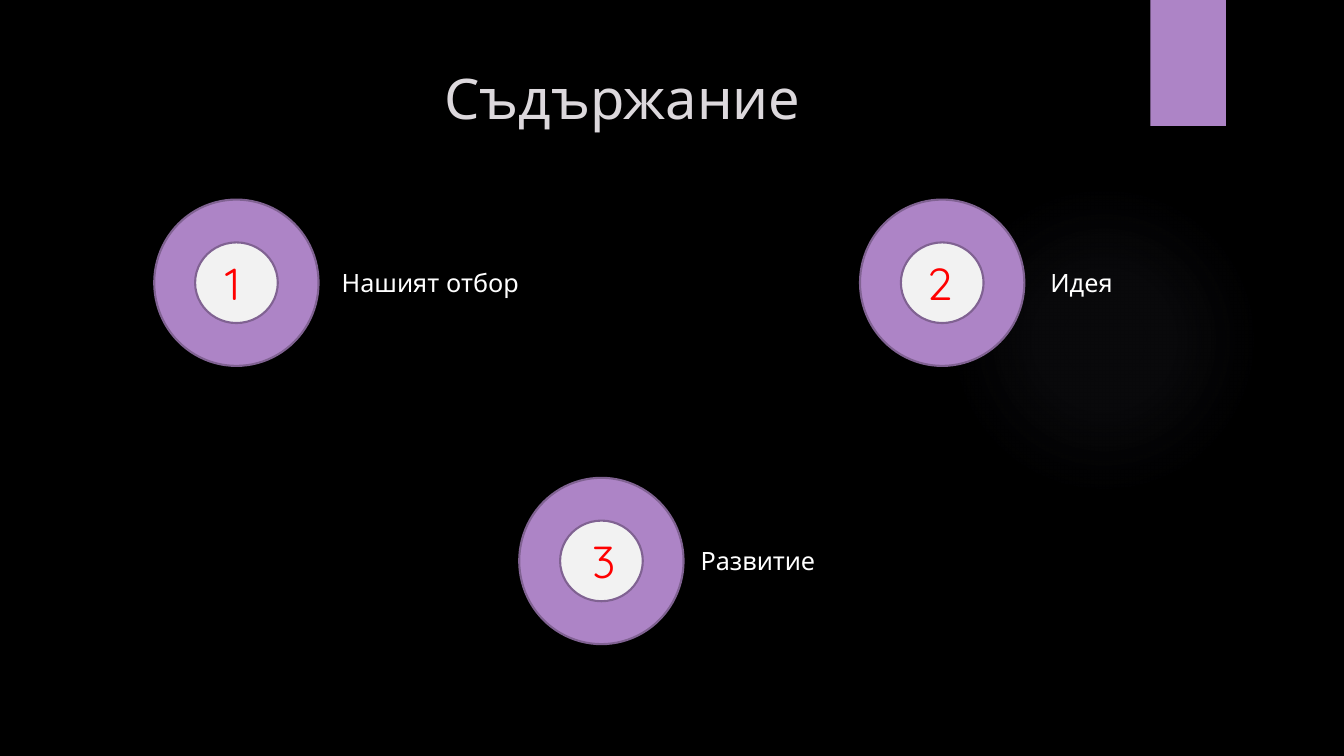
from dataclasses import dataclass

from pptx import Presentation
from pptx.dml.color import RGBColor
from pptx.enum.shapes import MSO_SHAPE
from pptx.enum.text import MSO_ANCHOR, MSO_AUTO_SIZE, PP_ALIGN
from pptx.oxml import parse_xml
from pptx.oxml.ns import nsdecls
from pptx.util import Inches, Pt

OVAL, RECT = MSO_SHAPE.OVAL, MSO_SHAPE.RECTANGLE
TOP, BOTTOM = MSO_ANCHOR.TOP, MSO_ANCHOR.BOTTOM
LEFT = PP_ALIGN.LEFT
FIT, FIXED = MSO_AUTO_SIZE.SHAPE_TO_FIT_TEXT, MSO_AUTO_SIZE.NONE


@dataclass(frozen=True)
class Theme:
    font: str = "Quicksand"
    back: str = "000000"
    title: str = "DCD8DC"
    ring: str = "AD84C6"
    edge: str = "806292"
    core: str = "F2F2F2"
    digit: str = "FF0000"
    label: str = "FFFFFF"
    glow: str = "7F7B9A"
    title_size: int = 40
    digit_size: int = 32
    label_size: int = 18
    edge_width: float = 1.5


def rgb(code):
    return RGBColor.from_string(code)


def write(frame, text, *, font, size, color, anchor=TOP, fit=FIXED):
    frame.word_wrap = True
    frame.auto_size = fit
    frame.vertical_anchor = anchor
    par = frame.paragraphs[0]
    par.alignment = LEFT
    run = par.add_run()
    run.text = text
    run.font.name = font
    run.font.size = Pt(size)
    run.font.color.rgb = rgb(color)


class Deck:
    def __init__(self, theme):
        self.theme = theme
        self.file = Presentation()
        self.file.slide_width = Inches(13.33)
        self.file.slide_height = Inches(7.5)
        self.slide = self.file.slides.add_slide(self.file.slide_layouts[5])
        fill = self.slide.background.fill
        fill.solid()
        fill.fore_color.rgb = rgb(theme.back)

    def title(self, text, x, y, w, h):
        shape = self.slide.shapes.title
        shape.left, shape.top = Inches(x), Inches(y)
        shape.width, shape.height = Inches(w), Inches(h)
        write(shape.text_frame, text, font=self.theme.font,
              size=self.theme.title_size, color=self.theme.title, anchor=BOTTOM)

    def shape(self, kind, x, y, w, h, fill=None, edge=None):
        shape = self.slide.shapes.add_shape(
            kind, Inches(x), Inches(y), Inches(w), Inches(h))
        shape.shadow.inherit = False
        if fill:
            shape.fill.solid()
            shape.fill.fore_color.rgb = rgb(fill)
        if edge:
            shape.line.color.rgb = rgb(edge)
            shape.line.width = Pt(self.theme.edge_width)
        else:
            shape.line.fill.background()
        return shape

    def glow(self, x, y, size, stops):
        shape = self.shape(OVAL, x, y, size, size)
        marks = "".join(
            f'<a:gs pos="{pos * 1000}"><a:srgbClr val="{self.theme.glow}">'
            f'<a:alpha val="{alpha * 1000}"/></a:srgbClr></a:gs>'
            for pos, alpha in stops)
        fill = parse_xml(
            f'<a:gradFill {nsdecls("a")} rotWithShape="1"><a:gsLst>{marks}</a:gsLst>'
            '<a:path path="circle"><a:fillToRect l="50000" t="50000" '
            'r="50000" b="50000"/></a:path></a:gradFill>')
        shape.element.spPr.prstGeom.addnext(fill)

    def text(self, text, x, y, w, h, size, color):
        box = self.slide.shapes.add_textbox(
            Inches(x), Inches(y), Inches(w), Inches(h))
        write(box.text_frame, text, font=self.theme.font,
              size=size, color=color, fit=FIT)

    def badge(self, digit, x, y, wide):
        look = self.theme
        mid_x, mid_y = x + 1.63 / 2, y + 1.65 / 2
        for w, h, fill in ((1.63, 1.65, look.ring), (0.82, 0.8, look.core)):
            self.shape(OVAL, mid_x - w / 2, mid_y - h / 2, w, h, fill, look.edge)
        self.text(digit, mid_x - wide / 2, mid_y - 0.32, wide, 0.64,
                  look.digit_size, look.digit)

    def label(self, text, x, y, w):
        self.text(text, x, y + 0.62, w, 0.4,
                  self.theme.label_size, self.theme.label)


def main():
    look = Theme()
    deck = Deck(look)
    deck.glow(9.41, 1.83, 3.08, ((0, 7), (36, 6), (69, 0)))
    deck.shape(RECT, 11.41, 0, 0.75, 1.25, look.ring)
    deck.title("Съдържание", 4.31, 0.56, 4.15, 0.79)
    items = (
        ("Нашият отбор", 1.53, 1.98, 0.42, 3.29, 2.49),
        ("Идея", 8.53, 1.98, 0.5, 10.32, 1.76),
        ("Развитие", 5.15, 4.74, 0.38, 6.85, 3.36),
    )
    for num, (name, x, y, wide, start, span) in enumerate(items, 1):
        deck.badge(str(num), x, y, wide)
        deck.label(name, start, y, span)
    deck.file.save("out.pptx")


if __name__ == "__main__":
    main()
